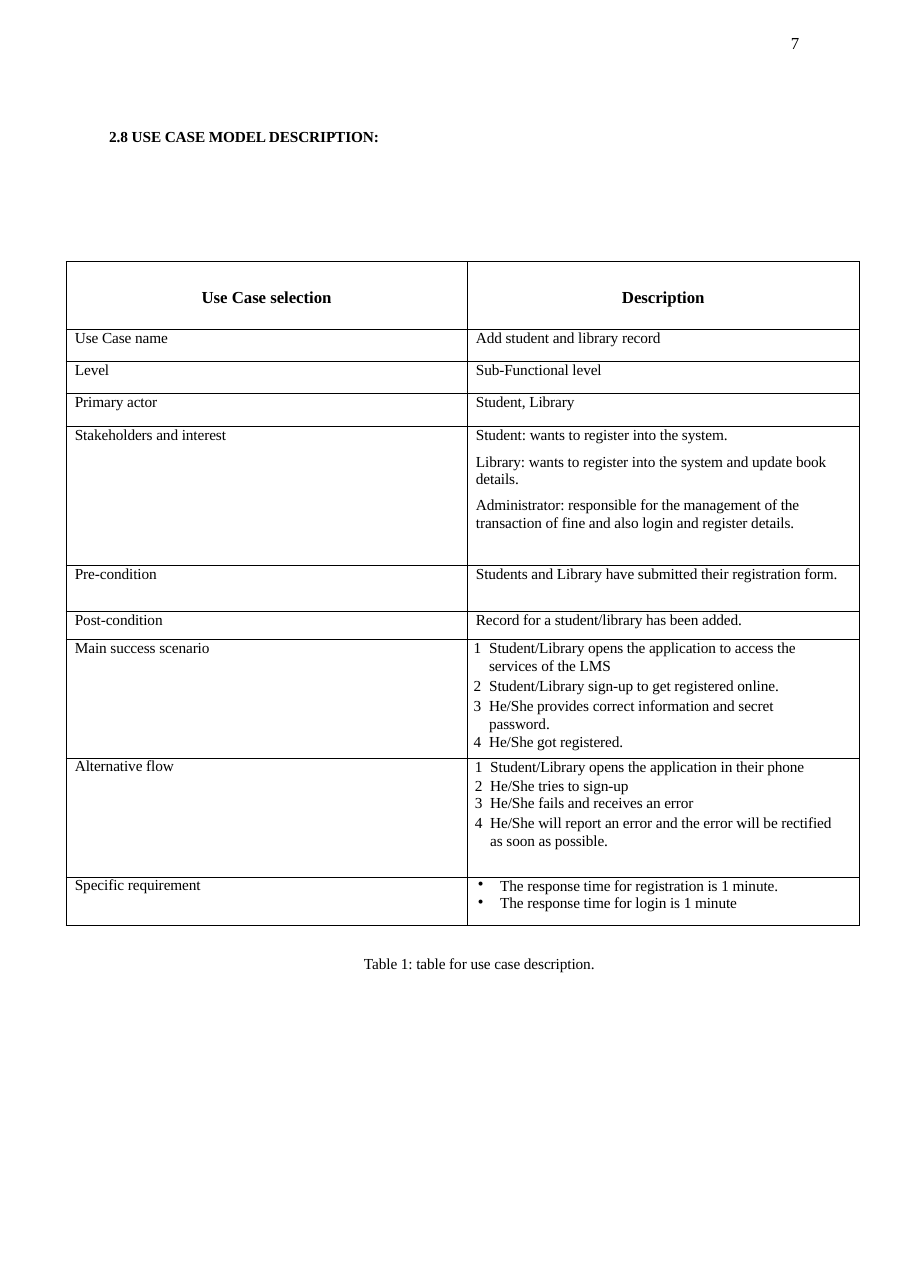
"""Build the page that holds the use case table."""
import dataclasses
import typing

import lxml.etree
import pptx
import pptx.dml.color
import pptx.enum.text
import pptx.oxml.ns
import pptx.util

WIDTH, HEIGHT = pptx.util.Inches(8.26), pptx.util.Inches(11.69)
FONT = "Times New Roman"
COLORS = {"ink": "000000"}
COLUMNS = (44.07, 43.1)
SIDES = ("a:lnL", "a:lnR", "a:lnT", "a:lnB")
ALIGN = pptx.enum.text.PP_ALIGN


@dataclasses.dataclass(frozen=True)
class Style:
    size: float = 10
    bold: bool = False
    align: typing.Any = ALIGN.LEFT
    lead: float = 11.3
    left: float = 0.08
    hang: float = 0
    mark: str = ""
    top: float = 0
    right: float = 0


@dataclasses.dataclass(frozen=True)
class Row:
    height: float
    name: str
    lines: tuple[str, ...]
    style: Style = Style()
    gaps: tuple[float, ...] = (0, 0, 0, 0)


@dataclasses.dataclass(frozen=True)
class Label:
    text: str
    left: float
    top: float
    width: float
    style: Style


PLAIN = Style()
HEAD = Style(size=11, bold=True, align=ALIGN.CENTER, lead=12.5, left=0, top=0.24)
STEPS = Style(lead=11.6, left=0.2, hang=0.14, mark="number", right=0.3)
OTHER = dataclasses.replace(STEPS, left=0.21, right=0.15)
POINTS = Style(lead=11.5, left=0.3, hang=0.2, mark="•")

LABELS = (
    Label("7", 86.92, 2.4, 2, Style(size=11, lead=12.7, left=0)),
    Label("2.8 USE CASE MODEL DESCRIPTION:", 12, 9.8, 40,
          Style(bold=True, lead=11.5, left=0)),
    Label("Table 1: table for use case description.", 40, 73.95, 35,
          Style(lead=11.5, left=0)),
)

ROWS = (
    Row(5.28, "Use Case selection", ("Description",), HEAD),
    Row(2.5, "Use Case name", ("Add student and library record",)),
    Row(2.5, "Level", ("Sub-Functional level",)),
    Row(2.5, "Primary actor", ("Student, Library",)),
    Row(10.8, "Stakeholders and interest", (
        "Student: wants to register into the system.",
        "Library: wants to register into the system and update book details.",
        "Administrator: responsible for the management of the transaction "
        "of fine and also login and register details.",
    ), gaps=(0, 6.4, 6)),
    Row(3.57, "Pre-condition",
        ("Students and Library have submitted their registration form.",)),
    Row(2.17, "Post-condition", ("Record for a student/library has been added.",)),
    Row(9.24, "Main success scenario", (
        "Student/Library opens the application to access the services of the LMS",
        "Student/Library sign-up to get registered online.",
        "He/She provides correct information and secret password.",
        "He/She got registered.",
    ), STEPS, (0, 1.6, 1.8, 0)),
    Row(9.24, "Alternative flow", (
        "Student/Library opens the application in their phone",
        "He/She tries to sign-up",
        "He/She fails and receives an error",
        "He/She will report an error and the error will be rectified "
        "as soon as possible.",
    ), OTHER, (0, 0.7, 0, 1.4)),
    Row(3.73, "Specific requirement", (
        "The response time for registration is 1 minute.",
        "The response time for login is 1 minute",
    ), POINTS),
)


def across(share: float) -> int:
    """Turn a percentage of the slide's width into a length."""
    return round(WIDTH * share / 100)


def down(share: float) -> int:
    """Turn a percentage of the slide's height into a length."""
    return round(HEIGHT * share / 100)


def add_node(parent: typing.Any, tag: str, **traits: str) -> typing.Any:
    """Append a drawing element to its parent."""
    return lxml.etree.SubElement(parent, pptx.oxml.ns.qn(tag), traits)


def write(frame: typing.Any, lines: tuple[str, ...], style: Style,
          gaps: tuple[float, ...] = (0,)) -> None:
    """Fill a text frame with styled paragraphs."""
    frame.text = "\n".join(lines)
    for item, gap in zip(frame.paragraphs, gaps):
        item.alignment = style.align
        item.line_spacing = pptx.util.Pt(style.lead)
        item.space_before = pptx.util.Pt(gap)
        props = item._p.get_or_add_pPr()
        props.set("marL", str(int(pptx.util.Inches(style.left))))
        props.set("indent", str(-int(pptx.util.Inches(style.hang))))
        if style.mark == "number":
            add_node(props, "a:buAutoNum", type="arabicPlain")
        elif style.mark:
            add_node(props, "a:buChar", char=style.mark)
        for run in item.runs:
            run.font.name = FONT
            run.font.size = pptx.util.Pt(style.size)
            run.font.bold = style.bold
            run.font.color.rgb = pptx.dml.color.RGBColor.from_string(COLORS["ink"])
            run._r.get_or_add_rPr().set("spc", "-5")


def set_cell(cell: typing.Any, lines: tuple[str, ...], style: Style,
             gaps: tuple[float, ...]) -> None:
    """Write a cell and rule its four sides."""
    cell.margin_left = cell.margin_bottom = 0
    cell.margin_top = pptx.util.Inches(style.top)
    cell.margin_right = pptx.util.Inches(style.right)
    write(cell.text_frame, lines, style, gaps)
    props = cell._tc.get_or_add_tcPr()
    for side in SIDES:
        line = add_node(props, side, w=str(int(pptx.util.Pt(0.5))))
        add_node(add_node(line, "a:solidFill"), "a:srgbClr", val=COLORS["ink"])
    cell.fill.background()


def add_label(slide: typing.Any, label: Label) -> None:
    """Place one line of text on the slide."""
    box = slide.shapes.add_textbox(across(label.left), down(label.top),
                                   across(label.width), down(1.7))
    frame = box.text_frame
    frame.word_wrap = True
    frame.margin_left = frame.margin_right = frame.margin_bottom = 0
    frame.margin_top = pptx.util.Inches(0.02)
    write(frame, (label.text,), label.style)


def add_grid(slide: typing.Any) -> None:
    """Draw the use case table."""
    frame = slide.shapes.add_table(
        len(ROWS), len(COLUMNS), across(7.26), down(20.3),
        across(sum(COLUMNS)), down(sum(row.height for row in ROWS)))
    table = frame.table
    table.first_row = table.horz_banding = False
    for column, share in zip(table.columns, COLUMNS):
        column.width = across(share)
    for index, row in enumerate(ROWS):
        table.rows[index].height = down(row.height)
        title = row.style if row.style is HEAD else PLAIN
        set_cell(table.cell(index, 0), (row.name,), title, (0,))
        set_cell(table.cell(index, 1), row.lines, row.style, row.gaps)


def main() -> None:
    """Build and save the page."""
    deck = pptx.Presentation()
    deck.slide_width, deck.slide_height = WIDTH, HEIGHT
    slide = deck.slides.add_slide(deck.slide_layouts[6])
    for label in LABELS:
        add_label(slide, label)
    add_grid(slide)
    deck.save("out.pptx")


main()
